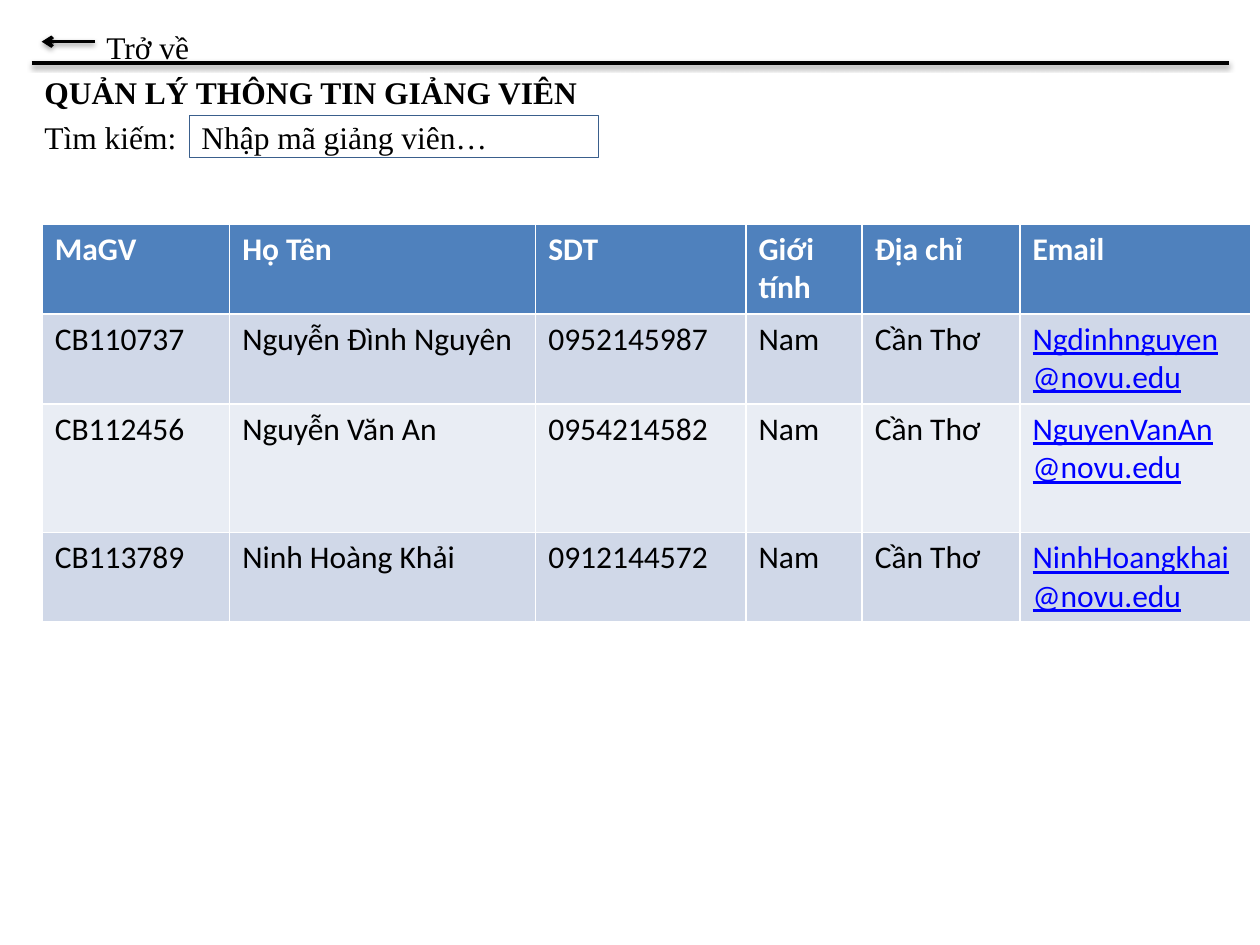
import pptx
import pptx.enum.dml
import pptx.enum.shapes
import pptx.enum.text
import pptx.util
from lxml import etree
from pptx.dml.color import RGBColor
from pptx.oxml.ns import qn
from pptx.util import Cm, Pt

COLORS = {
    "ink": "000000",
    "paper": "FFFFFF",
    "field_edge": "3A5F8C",
    "header": "4F81BD",
    "band_dark": "D0D8E8",
    "band_light": "E9EDF4",
    "link": "0000FF",
}
SERIF, SANS = "Times New Roman", "Calibri"

COLUMN_WIDTHS = [3.78, 6.17, 4.24, 2.34, 3.18, 4.65]
ROW_HEIGHTS = [1.79, 1.82, 2.59, 1.79]
HEADINGS = ["MaGV", "Họ Tên", "SDT", "Giới tính", "Địa chỉ", "Email"]
LECTURERS = [
    ["CB110737", "Nguyễn Đình Nguyên", "0952145987", "Nam", "Cần Thơ", "Ngdinhnguyen\v@novu.edu"],
    ["CB112456", "Nguyễn Văn An", "0954214582", "Nam", "Cần Thơ", "NguyenVanAn\v@novu.edu"],
    ["CB113789", "Ninh Hoàng Khải", "0912144572", "Nam", "Cần Thơ", "NinhHoangkhai\v@novu.edu"],
]


def rgb(key):
    return RGBColor.from_string(COLORS[key])


def write(paragraph, text, color="ink", **formats):
    """Fill a paragraph and format its runs."""
    paragraph.text = text
    values = {"size": Pt(18), "name": SERIF, "bold": False, **formats}
    for run in paragraph.runs:
        for attribute, value in values.items():
            setattr(run.font, attribute, value)
        run.font.color.rgb = rgb(color)


def add_rule(slide, start, end, arrow=False):
    """Black line with a soft shadow below it."""
    rule = slide.shapes.add_connector(
        pptx.enum.shapes.MSO_CONNECTOR.STRAIGHT, *map(Cm, start + end))
    rule.line.width = Pt(2)
    rule.line.color.rgb = rgb("ink")
    if arrow:
        etree.SubElement(rule.line._get_or_add_ln(), qn("a:tailEnd"), type="arrow")
    effects = etree.SubElement(rule._element.spPr, qn("a:effectLst"))
    shadow = etree.SubElement(effects, qn("a:outerShdw"), blurRad=str(Pt(3.1)),
                              dist=str(Pt(1.6)), dir="5400000", rotWithShape="0")
    shade = etree.SubElement(shadow, qn("a:srgbClr"), val=COLORS["ink"])
    etree.SubElement(shade, qn("a:alpha"), val="38000")


def add_page_text(slide, left, top, width, height):
    """Back link, page heading and search label in the body placeholder."""
    body = slide.placeholders[1]
    box = {"left": left, "top": top, "width": width, "height": height}
    for attribute, value in box.items():
        setattr(body, attribute, Cm(value))
    frame = body.text_frame
    frame.auto_size = pptx.enum.text.MSO_AUTO_SIZE.NONE
    lines = [("Trở về", 1.25, False),
             ("QUẢN LÝ THÔNG TIN GIẢNG VIÊN", 0, True),
             ("Tìm kiếm:", 0, False)]
    for number, (text, indent, bold) in enumerate(lines):
        paragraph = frame.add_paragraph() if number else frame.paragraphs[0]
        write(paragraph, text, bold=bold)
        paragraph.space_before = Pt(4.3)
        properties = paragraph._p.get_or_add_pPr()
        properties.set("marL", str(Cm(indent)))
        properties.set("indent", "0")
        properties.append(etree.Element(qn("a:buNone")))


def add_navigation(slide, left, top, width):
    """Back arrow above the line across the page."""
    add_rule(slide, (left, top + 0.43), (left + width, top + 0.43))
    add_rule(slide, (left + 1.27, top), (left + 0.2, top), arrow=True)


def add_search_field(slide, left, top, width, height):
    field = slide.shapes.add_shape(
        pptx.enum.shapes.MSO_SHAPE.RECTANGLE, *map(Cm, (left, top, width, height)))
    field.shadow.inherit = False
    field.fill.solid()
    field.fill.fore_color.rgb = rgb("paper")
    field.line.color.rgb = rgb("field_edge")
    field.line.width = Pt(0.25)
    frame = field.text_frame
    frame.word_wrap = True
    frame.vertical_anchor = pptx.enum.text.MSO_ANCHOR.MIDDLE
    hint = frame.paragraphs[0]
    hint.alignment = pptx.enum.text.PP_ALIGN.LEFT
    write(hint, "Nhập mã giảng viên…")


def add_lecturer_table(slide, left, top):
    rows = [HEADINGS] + LECTURERS
    size = (sum(COLUMN_WIDTHS), sum(ROW_HEIGHTS))
    table = slide.shapes.add_table(
        len(rows), len(HEADINGS), *map(Cm, (left, top) + size)).table
    for column, width in zip(table.columns, COLUMN_WIDTHS):
        column.width = Cm(width)
    for r, (values, height) in enumerate(zip(rows, ROW_HEIGHTS)):
        table.rows[r].height = Cm(height)
        band = "header" if r == 0 else ("band_dark" if r % 2 else "band_light")
        for c, value in enumerate(values):
            cell = table.cell(r, c)
            cell.fill.solid()
            cell.fill.fore_color.rgb = rgb(band)
            is_email = r > 0 and HEADINGS[c] == "Email"
            color = "paper" if r == 0 else ("link" if is_email else "ink")
            write(cell.text_frame.paragraphs[0], value, color,
                  name=SANS, bold=r == 0, underline=is_email)


def main():
    deck = pptx.Presentation()
    deck.slide_width, deck.slide_height = Cm(25.4), Cm(19.05)
    slide = deck.slides.add_slide(deck.slide_layouts[1])
    # The heading is part of the body, so the title is not needed
    title = slide.shapes.title._element
    title.getparent().remove(title)

    add_page_text(slide, 0.64, 0.43, 23.5, 16.59)
    add_lecturer_table(slide, 0.85, 4.52)
    add_navigation(slide, 0.64, 0.84, 24.13)
    add_search_field(slide, 3.81, 2.33, 8.26, 0.85)
    deck.save("out.pptx")


if __name__ == "__main__":
    main()
